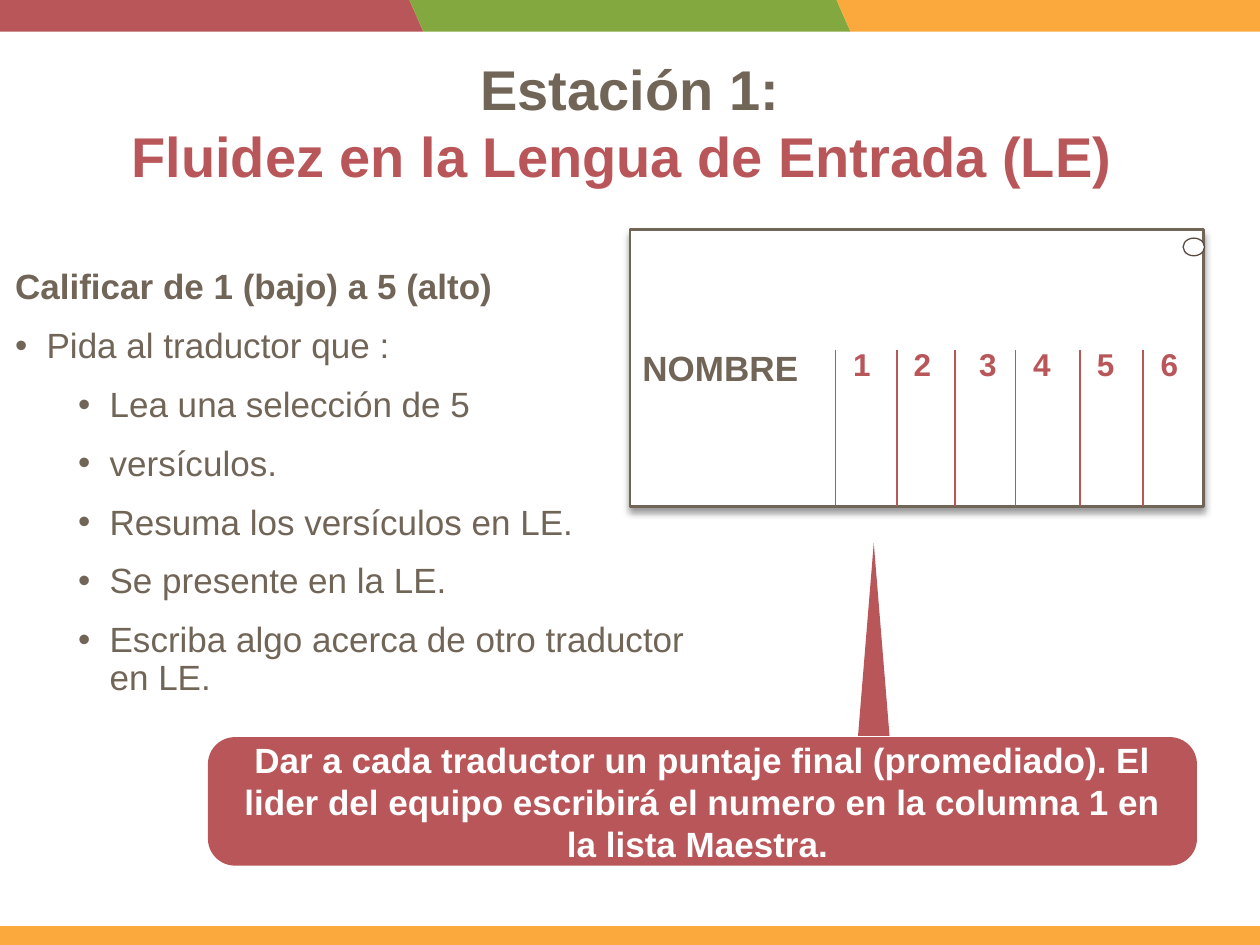
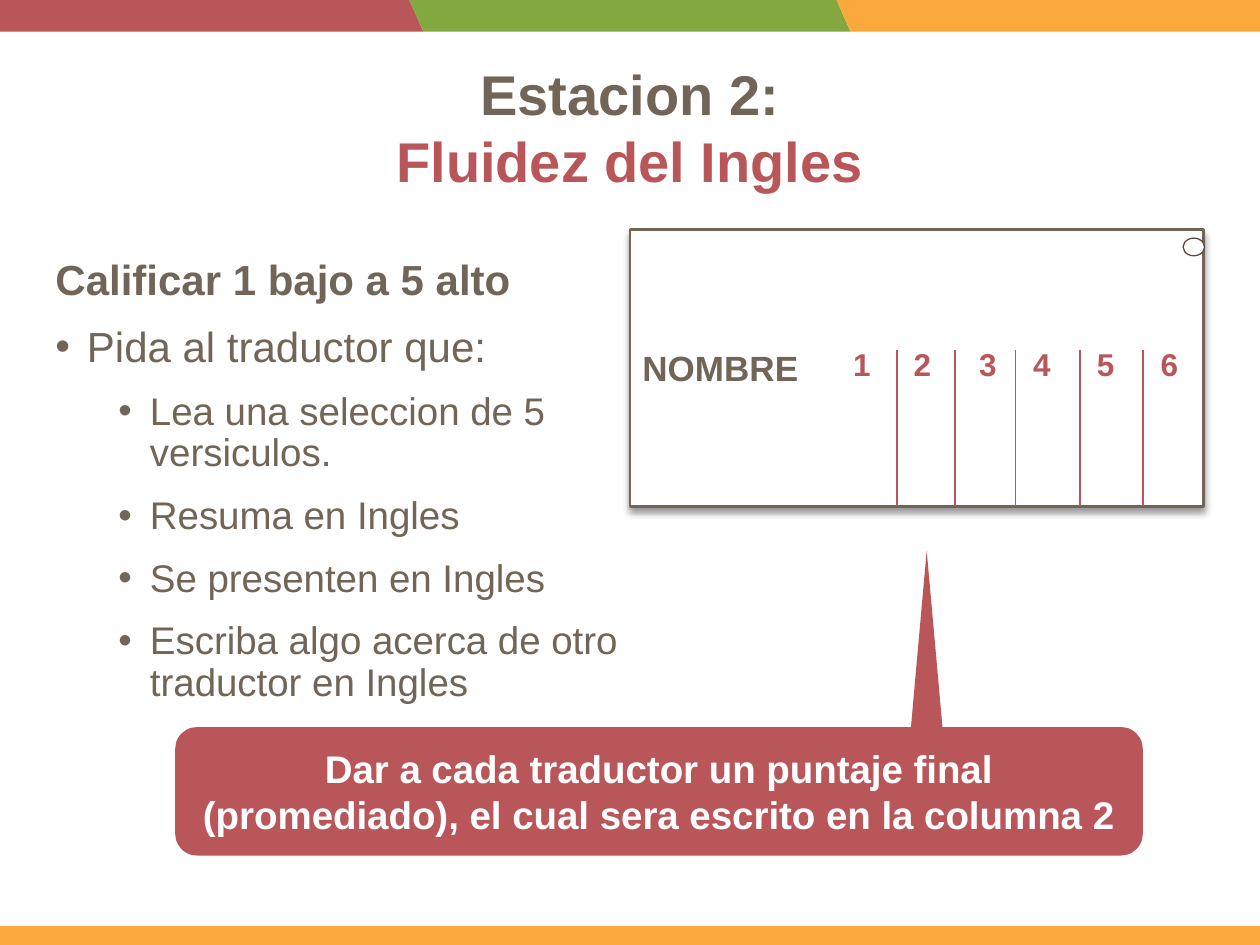
from dataclasses import dataclass

from lxml.etree import SubElement
from pptx import Presentation
from pptx.dml.color import RGBColor
from pptx.enum.shapes import MSO_CONNECTOR, MSO_SHAPE
from pptx.enum.text import MSO_ANCHOR, MSO_AUTO_SIZE, PP_ALIGN
from pptx.oxml.ns import qn
from pptx.util import Inches, Pt

FONT = "Arial"
RED = RGBColor(0xB9, 0x56, 0x59)
GREEN = RGBColor(0x83, 0xA8, 0x3F)
ORANGE = RGBColor(0xFB, 0xA9, 0x3D)
BROWN = RGBColor(0x71, 0x65, 0x57)
DARK_BROWN = RGBColor(0x5B, 0x4A, 0x42)
WHITE = RGBColor(0xFF, 0xFF, 0xFF)

TITLE_SIZE = 32
BAND_STEP = 3.39
CARD = (5, 1.82, 4.55, 2.2)
DIVIDER_TOP, DIVIDER_BOTTOM = 2.78, 4.02
FIRST_DIVIDER = 6.63


@dataclass
class Column:
    """A numbered column of the name card; divider is its right-hand line."""
    label: str
    left: float
    width: float = 0.42
    divider: float | None = None


COLUMNS = [
    Column("1", 6.63, divider=7.12),
    Column("2", 7.11, divider=7.58),
    Column("3", 7.63, divider=8.06),
    Column("4", 8.06, divider=8.57),
    Column("5", 8.48, width=0.59, divider=9.07),
    Column("6", 9.07),
]


@dataclass
class Callout:
    text: str
    size: int
    box: tuple[float, float, float, float]
    pointer: tuple[float, float, float, float]
    corner: float


@dataclass
class Station:
    heading: str
    subject: str
    title_top: float
    body_box: tuple[float, float, float, float]
    scale: str
    request: str
    tasks: list[str]
    body_size: int
    task_size: int
    callout: Callout
    first_divider: bool = False


STATIONS = [
    Station(
        "Estación 1:", "Fluidez en la Lengua de Entrada (LE) ", 0.38,
        (0.02, 2.09, 5.55, 4.12),
        "Calificar de 1 (bajo) a 5 (alto)", "Pida al traductor que :",
        ["Lea una selección de 5", "versículos.",
         "Resuma los versículos en LE.", "Se presente en la LE.",
         "Escriba algo acerca de otro traductor en LE."],
        20, 20,
        Callout("Dar a cada traductor un puntaje final (promediado). El lider "
                "del equipo escribirá el numero en la columna 1 en la lista "
                "Maestra. ", 20, (1.65, 5.85, 7.85, 1.02),
                (6.81, 4.31, 0.25, 1.53), 0.21),
        first_divider=True),
    Station(
        "Estacion 2:", "Fluidez del Ingles", 0.42,
        (0.34, 2.01, 5.37, 3.68),
        "Calificar 1 bajo a 5 alto", "Pida al traductor que:",
        ["Lea una seleccion de 5 versiculos.", "Resuma en Ingles",
         "Se presenten en Ingles",
         "Escriba algo acerca de otro traductor en Ingles"],
        24, 22,
        Callout("Dar a cada traductor un puntaje final (promediado), el cual "
                "sera escrito en la columna 2", 22, (1.39, 5.77, 7.68, 1.02),
                (7.23, 4.37, 0.25, 1.4), 0.17)),
]


def inches(box: tuple) -> list:
    return [Inches(v) for v in box]


def add_text(p, text: str, *, size: float, color=BROWN, bold=True, align=None):
    """Add a formatted run to a paragraph."""
    r = p.add_run()
    r.text = text
    r.font.name, r.font.size, r.font.bold = FONT, Pt(size), bold
    r.font.color.rgb = color
    if align is not None:
        p.alignment = align


def add_box(shapes, kind, box: tuple, fill, line=None, width: float = 1):
    sp = shapes.add_shape(kind, *inches(box))
    sp.shadow.inherit = False
    sp.fill.solid()
    sp.fill.fore_color.rgb = fill
    if line is None:
        sp.line.fill.background()
    else:
        sp.line.color.rgb = line
        sp.line.width = Pt(width)
    return sp


def add_divider(shapes, x: float) -> None:
    line = shapes.add_connector(MSO_CONNECTOR.STRAIGHT, Inches(x), Inches(DIVIDER_TOP),
                                Inches(x), Inches(DIVIDER_BOTTOM))
    line.line.color.rgb = RED
    line.line.width = Pt(1)
    SubElement(line.element.spPr, qn("a:effectLst"))


def add_soft_shadow(sp) -> None:
    effects = sp.element.spPr.find(qn("a:effectLst"))
    shadow = SubElement(effects, qn("a:outerShdw"), blurRad=str(Pt(4)), dist=str(Pt(3)),
                        dir="5400000", rotWithShape="0")
    color = SubElement(shadow, qn("a:srgbClr"), val="000000")
    SubElement(color, qn("a:alpha"), val="40000")


def set_up_master(prs, s) -> None:
    """Set the title size and move the coloured bands from s to the master."""
    master = prs.slide_master
    style = master.element.xpath("p:txStyles/p:titleStyle/a:lvl1pPr/a:defRPr")[0]
    style.set("sz", str(TITLE_SIZE * 100))
    bands = [add_box(s.shapes, MSO_SHAPE.RECTANGLE, (0, 7.35, 10, 0.15), ORANGE)]
    for i, color in enumerate((RED, GREEN, ORANGE)):
        band = add_box(s.shapes, MSO_SHAPE.PARALLELOGRAM,
                       (-0.14 + i * BAND_STEP, 0, 3.5, 0.25), color)
        band.adjustments[0] = 0.44
        band.element.spPr.find(qn("a:xfrm")).set("flipH", "1")
        bands.append(band)
    for i, band in enumerate(bands):
        band.element.nvSpPr.cNvPr.set("id", str(20 + i))
        master.shapes.element.insert(2 + i, band.element)


def place(sp, box: tuple):
    """Move a placeholder and return its top-anchored text frame."""
    sp.left, sp.top, sp.width, sp.height = inches(box)
    tf = sp.text_frame
    tf.word_wrap = True
    tf.auto_size = MSO_AUTO_SIZE.NONE
    tf.vertical_anchor = MSO_ANCHOR.TOP
    return tf


def add_title(s, station: Station) -> None:
    p = place(s.shapes.title, (0.69, station.title_top, 8.62, 1.45)).paragraphs[0]
    add_text(p, station.heading, size=TITLE_SIZE, align=PP_ALIGN.CENTER)
    p.add_line_break()
    add_text(p, station.subject, size=TITLE_SIZE, color=RED)


def format_item(p, level: int, margin: float, bullet: bool) -> None:
    p.level = level
    pPr = p._p.get_or_add_pPr()
    pPr.set("marL", str(Inches(margin)))
    pPr.set("indent", str(Inches(-0.25 if bullet else 0)))
    if bullet:
        SubElement(pPr, qn("a:buFont"), typeface=FONT)
        SubElement(pPr, qn("a:buChar"), char="•")
    else:
        SubElement(pPr, qn("a:buNone"))
    p.line_spacing = 0.9
    p.space_before, p.space_after = Pt(0), Pt(12)


def add_body(s, station: Station) -> None:
    tf = place(s.placeholders[1], station.body_box)
    p = tf.paragraphs[0]
    format_item(p, 0, 0, bullet=False)
    add_text(p, station.scale, size=station.body_size)
    p = tf.add_paragraph()
    format_item(p, 0, 0.25, bullet=True)
    add_text(p, station.request, size=station.body_size, bold=False)
    for task in station.tasks:
        p = tf.add_paragraph()
        format_item(p, 1, 0.75, bullet=True)
        add_text(p, task, size=station.task_size, bold=False)


def add_name_card(s, first_divider: bool) -> None:
    shapes = s.shapes.add_group_shape().shapes
    card = add_box(shapes, MSO_SHAPE.RECTANGLE, CARD, WHITE, BROWN, 1.5)
    add_soft_shadow(card)
    tf = card.text_frame
    tf.vertical_anchor = MSO_ANCHOR.TOP
    tf.margin_top = Inches(0.93)
    add_text(tf.paragraphs[0], "NOMBRE", size=20, align=PP_ALIGN.LEFT)
    for column in COLUMNS:
        if column.divider:
            add_divider(shapes, column.divider)
    add_box(shapes, MSO_SHAPE.OVAL, (9.39, 1.89, 0.17, 0.14), WHITE, DARK_BROWN, 0.75)
    for column in COLUMNS:
        label = shapes.add_textbox(*inches((column.left, 2.69, column.width, 0.4)))
        tf = label.text_frame
        tf.word_wrap = True
        tf.vertical_anchor = MSO_ANCHOR.MIDDLE
        add_text(tf.paragraphs[0], column.label, size=18, color=RED, align=PP_ALIGN.CENTER)
    if first_divider:
        add_divider(s.shapes, FIRST_DIVIDER)


def add_callout(s, callout: Callout) -> None:
    shapes = s.shapes.add_group_shape().shapes
    add_box(shapes, MSO_SHAPE.ISOSCELES_TRIANGLE, callout.pointer, RED)
    sp = add_box(shapes, MSO_SHAPE.ROUNDED_RECTANGLE, callout.box, RED)
    sp.adjustments[0] = callout.corner
    tf = sp.text_frame
    tf.word_wrap = True
    tf.vertical_anchor = MSO_ANCHOR.MIDDLE
    add_text(tf.paragraphs[0], callout.text, size=callout.size, color=WHITE,
             align=PP_ALIGN.CENTER)


def main() -> None:
    prs = Presentation()
    prs.slide_width, prs.slide_height = Inches(10), Inches(7.5)
    for i, station in enumerate(STATIONS):
        s = prs.slides.add_slide(prs.slide_layouts[1])
        if i == 0:
            set_up_master(prs, s)
        add_title(s, station)
        add_body(s, station)
        add_name_card(s, station.first_divider)
        add_callout(s, station.callout)
    prs.save("out.pptx")


if __name__ == "__main__":
    main()
